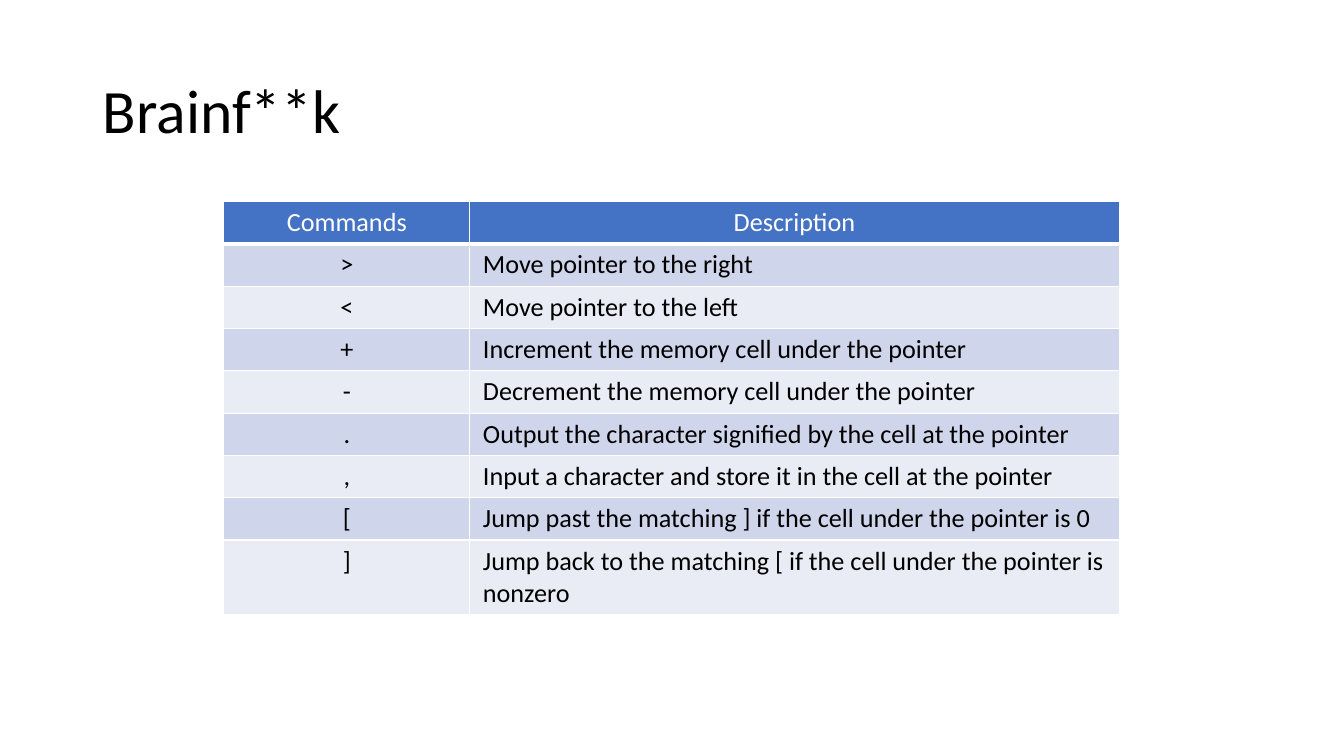
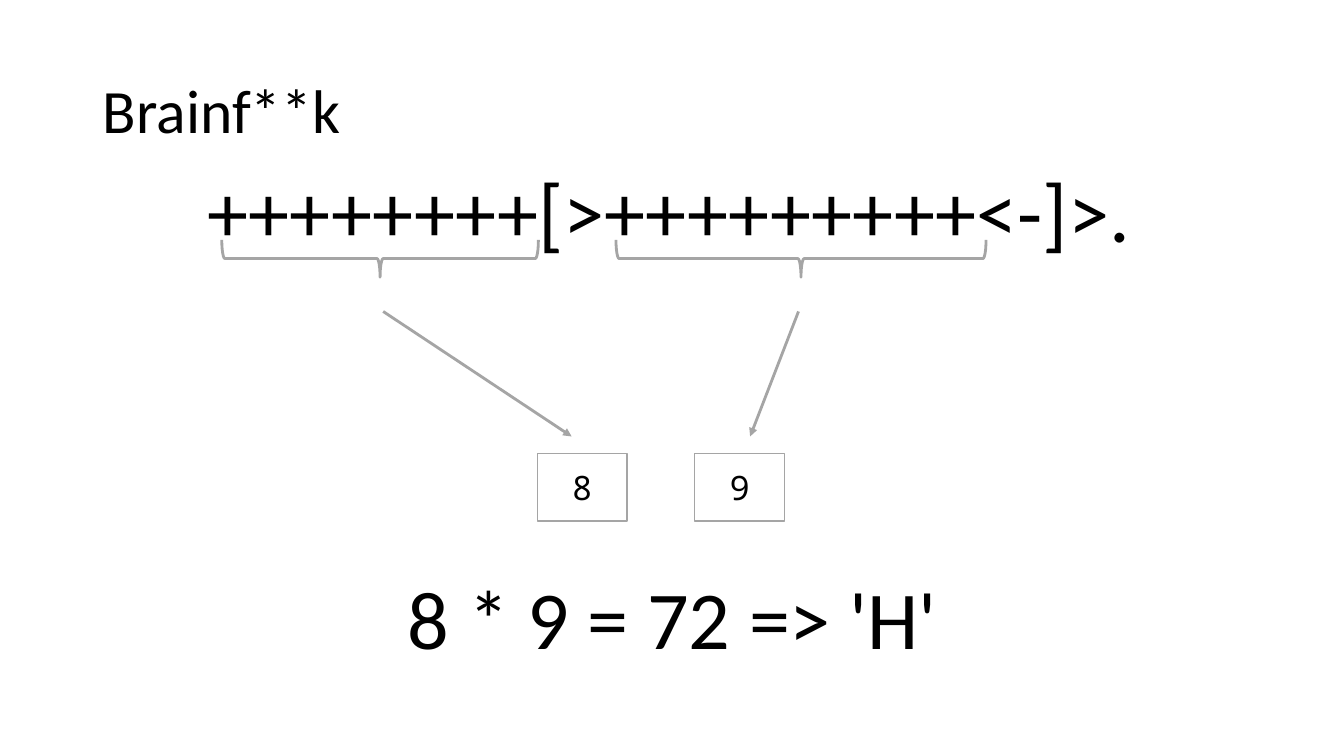
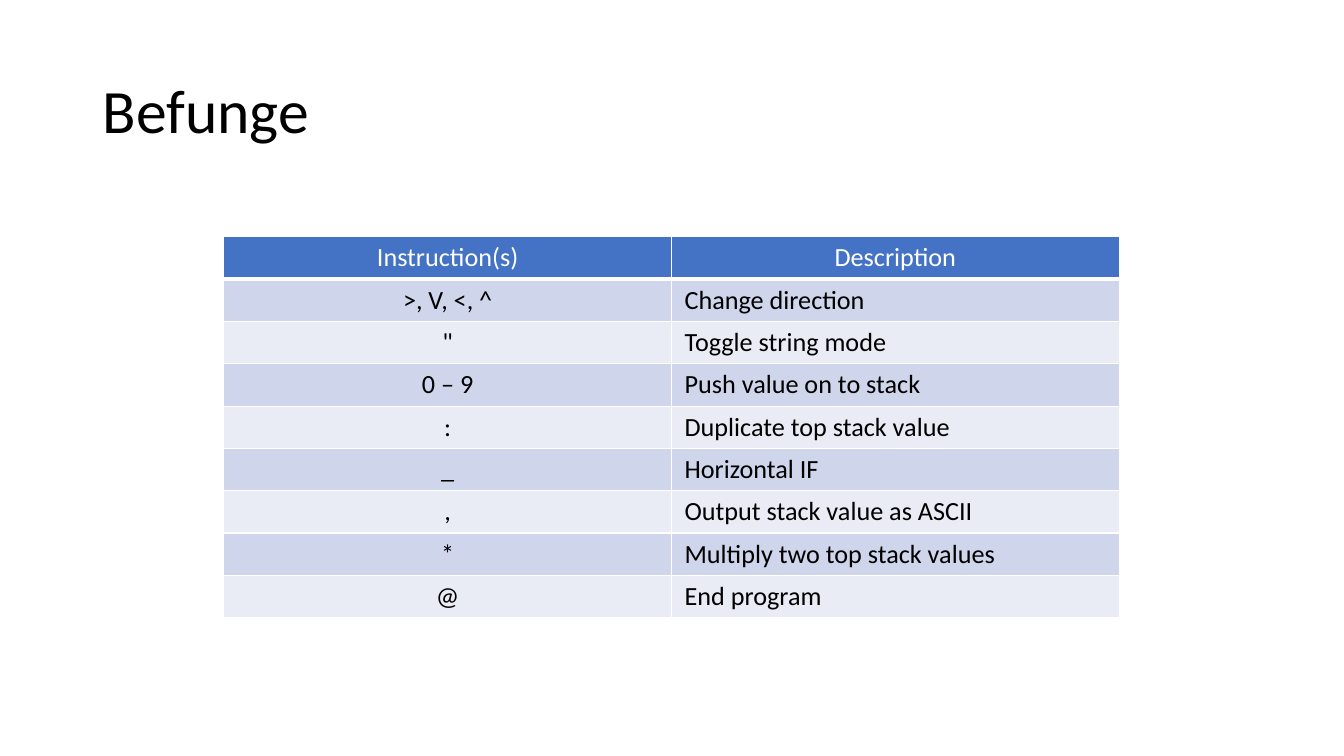
from lxml import etree
from pptx import Presentation
from pptx.dml.color import RGBColor
from pptx.enum.shapes import MSO_CONNECTOR, MSO_SHAPE
from pptx.enum.text import MSO_ANCHOR, MSO_AUTO_SIZE, PP_ALIGN
from pptx.oxml.ns import qn
from pptx.util import Inches, Pt

# Content
COMMANDS = [
    ("Commands", "Description"),
    (">", "Move pointer to the right"),
    ("<", "Move pointer to the left"),
    ("+", "Increment the memory cell under the pointer"),
    ("-", "Decrement the memory cell under the pointer"),
    (".", "Output the character signified by the cell at the pointer"),
    (",", "Input a character and store it in the cell at the pointer"),
    ("[", "Jump past the matching ] if the cell under the pointer is 0"),
    ("]", "Jump back to the matching [ if the cell under the pointer is nonzero"),
]
INSTRUCTIONS = [
    ("Instruction(s)", "Description"),
    (">, V, <, ^", "Change direction"),
    ('"', "Toggle string mode"),
    ("0 – 9", "Push value on to stack"),
    (":", "Duplicate top stack value"),
    ("_", "Horizontal IF"),
    (",", "Output stack value as ASCII"),
    ("*", "Multiply two top stack values"),
    ("@", "End program"),
]
PROGRAM = "++++++++[>+++++++++<-]>."
RESULT = "8 * 9 = 72 => 'H'"
# Each factor: value, box left, brace left, brace width, arrow start x, arrow end x
FACTORS = [
    ("8", 5.33, 2.2, 3.14, 3.8, 5.67),
    ("9", 6.89, 6.11, 3.67, 7.92, 7.44),
]

# Shared style
COLORS = {"text": "000000", "white": "FFFFFF", "header": "4472C4",
          "band_dark": "CFD5EA", "band_light": "E9EBF5", "line": "A5A5A5"}
FONT, MONO = "Calibri", "Noto Sans Mono"
TITLE_SIZE, CODE_SIZE, CELL_SIZE, VALUE_SIZE = 44, 58.7, 18.7, 24
TABLE_LEFT, ROW_HEIGHT = 2.22, 0.42
BRACE_TOP, BRACE_DEPTH = 2.38, 0.37
ARROW_TOP, ARROW_BOTTOM = 3.09, 4.33
BOX_TOP, BOX_WIDTH, BOX_HEIGHT = 4.5, 0.89, 0.67

prs = Presentation()
prs.slide_width, prs.slide_height = Inches(13.33), Inches(7.5)
TITLE_ONLY = prs.slide_layouts[5]


def rgb(name):
    return RGBColor.from_string(COLORS[name])


def write(frame, text, size, color="text", font=FONT, align=PP_ALIGN.CENTER):
    paragraph = frame.paragraphs[0]
    paragraph.alignment = align
    run = paragraph.add_run()
    run.text = text
    run.font.name, run.font.size, run.font.bold = font, Pt(size), False
    run.font.color.rgb = rgb(color)
    return paragraph


def add_slide(title_text):
    slide = prs.slides.add_slide(TITLE_ONLY)
    title = slide.shapes.title
    title.left, title.top = Inches(0.92), Inches(0.4)
    title.width, title.height = Inches(11.5), Inches(1.45)
    frame = title.text_frame
    frame.auto_size = MSO_AUTO_SIZE.NONE
    frame.vertical_anchor = MSO_ANCHOR.MIDDLE
    write(frame, title_text, TITLE_SIZE, align=PP_ALIGN.LEFT).line_spacing = 0.9
    return slide


def add_border(cell, side, points):
    line = etree.SubElement(cell._tc.get_or_add_tcPr(), qn("a:ln" + side), w=str(Pt(points)))
    fill = etree.SubElement(line, qn("a:solidFill"))
    etree.SubElement(fill, qn("a:srgbClr"), val=COLORS["white"])


def add_table(slide, rows, top, widths):
    table = slide.shapes.add_table(
        len(rows), len(widths), Inches(TABLE_LEFT), Inches(top),
        Inches(sum(widths)), Inches(ROW_HEIGHT * len(rows))).table
    for column, width in zip(table.columns, widths):
        column.width = Inches(width)
    for r, row in enumerate(rows):
        table.rows[r].height = Inches(ROW_HEIGHT)
        band = "header" if r == 0 else "band_dark" if r % 2 else "band_light"
        for c, text in enumerate(row):
            cell = table.cell(r, c)
            cell.margin_left = cell.margin_right = Inches(0.13)
            cell.margin_top = cell.margin_bottom = Inches(0.05)
            for side in "LRTB":
                at_header_edge = (r, side) in ((0, "B"), (1, "T"))
                add_border(cell, side, 3 if at_header_edge else 1)
            cell.fill.solid()
            cell.fill.fore_color.rgb = rgb(band)
            write(cell.text_frame, text, CELL_SIZE, "text" if r else "white",
                  align=PP_ALIGN.LEFT if r and c else PP_ALIGN.CENTER)
    return table


def add_code_line(slide, text, left, top, width):
    box = slide.shapes.add_textbox(Inches(left), Inches(top), Inches(width), Inches(1.09))
    box.text_frame.word_wrap = True
    box.text_frame.auto_size = MSO_AUTO_SIZE.SHAPE_TO_FIT_TEXT
    write(box.text_frame, text, CODE_SIZE)


def add_outline(slide, kind, left, top, width, height, points):
    shape = slide.shapes.add_shape(kind, Inches(left), Inches(top), Inches(width), Inches(height))
    shape.shadow.inherit = False
    shape.fill.background()
    shape.line.color.rgb, shape.line.width = rgb("line"), Pt(points)
    return shape


def add_brace(slide, left, span):
    # An upright brace turned about its centre so that its tip points down
    shift = (span - BRACE_DEPTH) / 2
    brace = add_outline(slide, MSO_SHAPE.LEFT_BRACE, left + shift, BRACE_TOP - shift,
                        BRACE_DEPTH, span, 2)
    brace.rotation = 270


def add_arrow(slide, start_x, end_x):
    arrow = slide.shapes.add_connector(MSO_CONNECTOR.STRAIGHT, Inches(start_x), Inches(ARROW_TOP),
                                       Inches(end_x), Inches(ARROW_BOTTOM))
    arrow.line.color.rgb, arrow.line.width = rgb("line"), Pt(2)
    etree.SubElement(arrow.line._get_or_add_ln(), qn("a:tailEnd"), type="triangle")
    etree.SubElement(arrow._element.spPr, qn("a:effectLst"))


# Slide 1: command table
commands = add_table(add_slide("Brainf**k"), COMMANDS, 2, (2.44, 6.44))
commands.rows[len(COMMANDS) - 1].height = Inches(0.74)

# Slide 2: worked example
example = add_slide("Brainf**k")
add_code_line(example, PROGRAM, 0.69, 1.54, 11.89)
for value, box_left, brace_left, span, start_x, end_x in FACTORS:
    value_box = add_outline(example, MSO_SHAPE.RECTANGLE, box_left, BOX_TOP,
                            BOX_WIDTH, BOX_HEIGHT, 1)
    value_box.text_frame.vertical_anchor = MSO_ANCHOR.MIDDLE
    write(value_box.text_frame, value, VALUE_SIZE, font=MONO)
    add_brace(example, brace_left, span)
    add_arrow(example, start_x, end_x)
add_code_line(example, RESULT, 0.89, 5.58, 11.56)

# Slide 3: instruction table
add_table(add_slide("Befunge"), INSTRUCTIONS, 2.35, (4.44, 4.44))

prs.save("out.pptx")
